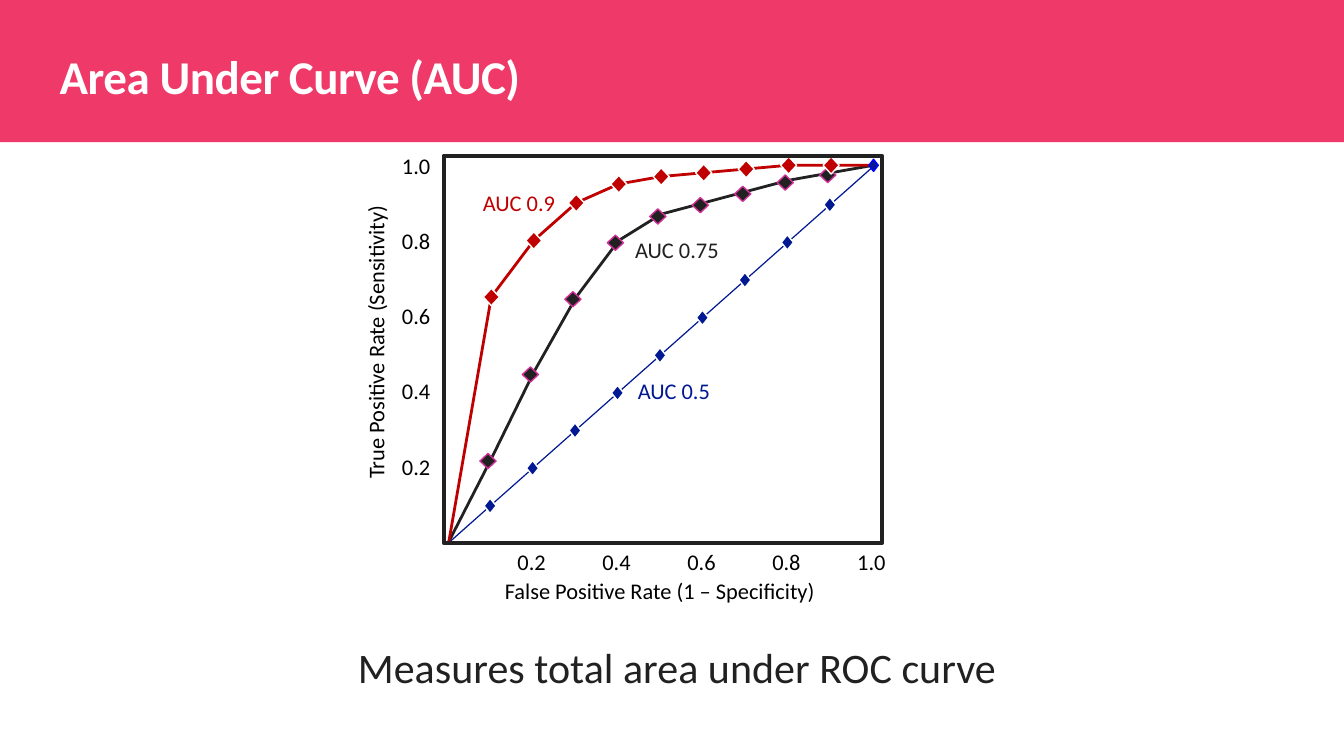
from pptx import Presentation
from pptx.dml.color import RGBColor
from pptx.enum.shapes import MSO_SHAPE
from pptx.enum.text import MSO_ANCHOR, PP_ALIGN
from pptx.util import Inches, Pt

RECT, DIAMOND = MSO_SHAPE.RECTANGLE, MSO_SHAPE.DIAMOND
LEFT, CENTER, RIGHT = PP_ALIGN.LEFT, PP_ALIGN.CENTER, PP_ALIGN.RIGHT
MIDDLE = MSO_ANCHOR.MIDDLE

PINK = RGBColor(0xEF, 0x39, 0x69)
WHITE = RGBColor(0xFF, 0xFF, 0xFF)
BLACK = RGBColor(0x00, 0x00, 0x00)
DARK = RGBColor(0x21, 0x21, 0x21)
NAVY = RGBColor(0x01, 0x18, 0x93)
BLUE = RGBColor(0x00, 0x00, 0xFF)
RED = RGBColor(0xC0, 0x00, 0x00)
PURPLE = RGBColor(0xD2, 0x31, 0x99)

# A 16:9 slide
WIDE = Inches(10)
HIGH = WIDE * 9 // 16

# Plot grid: the origin and one full unit of each rate
ORIGIN_X, ORIGIN_Y = Inches(3.34), Inches(4.03)
UNIT_X, UNIT_Y = Inches(3.16), Inches(2.8)

STEPS = [n / 10 for n in range(11)]
GOOD = [0, 0.65, 0.8, 0.9, 0.95, 0.97, 0.98, 0.99, 1, 1, 1]
FAIR = [0, 0.22, 0.45, 0.65, 0.8, 0.87, 0.9, 0.93, 0.96, 0.98, 1]


def spot(fpr, tpr):
    """Place of a pair of rates on the slide."""
    return round(ORIGIN_X + UNIT_X * fpr), round(ORIGIN_Y - UNIT_Y * tpr)


def box(mid, size):
    """Left, top, width and height around a middle point."""
    return [round(v) for v in (mid[0] - size[0] / 2, mid[1] - size[1] / 2, *size)]


def paint(shape, fill, line, width):
    shape.shadow.inherit = False
    if fill is None:
        shape.fill.background()
    else:
        shape.fill.solid()
        shape.fill.fore_color.rgb = fill
    if line is None:
        shape.line.fill.background()
    else:
        shape.line.color.rgb = line
        shape.line.width = Pt(width)


def add_block(slide, kind, area, fill=None, line=None, width=0.75):
    paint(slide.shapes.add_shape(kind, *area), fill, line, width)


def add_text(slide, text, mid, size, color=BLACK, points=12, align=CENTER,
             bold=None, turn=0, wrap=False):
    label = slide.shapes.add_textbox(*box(mid, size))
    label.rotation = turn
    frame = label.text_frame
    frame.word_wrap = wrap
    frame.vertical_anchor = MIDDLE
    frame.margin_left = frame.margin_right = 0
    frame.margin_top = frame.margin_bottom = 0
    para = frame.paragraphs[0]
    para.alignment = align
    run = para.add_run()
    run.text = text
    run.font.name = "Calibri"
    run.font.size = Pt(points)
    run.font.bold = bold
    run.font.color.rgb = color
    return run


def add_curve(slide, rates, color, fill=None):
    points = [spot(*pair) for pair in zip(STEPS, rates)]
    pen = slide.shapes.build_freeform(*points[0], scale=1.0)
    pen.add_line_segments(points[1:], close=False)
    paint(pen.convert_to_shape(), fill, color, 1.5)


def add_marks(slide, rates, size, fill, line, shift=(0, 0)):
    for fpr, tpr in list(zip(STEPS, rates))[1:-1]:
        mid = spot(fpr + shift[0], tpr + shift[1])
        add_block(slide, DIAMOND, box(mid, size), fill, line)


def add_plot(slide):
    # Curves; the white fill trims the upper half of the diagonal
    for rates, color, fill in ((STEPS, NAVY, None), (FAIR, DARK, WHITE),
                               (GOOD, RED, None)):
        add_curve(slide, rates, color, fill)

    # Markers
    add_marks(slide, STEPS, (WIDE * 0.009, HIGH * 0.02), NAVY, WHITE,
              (-0.003, -0.005))
    add_block(slide, DIAMOND, box(spot(1, 1), (WIDE * 0.007, HIGH * 0.016)),
              NAVY, BLUE)
    add_marks(slide, FAIR, (WIDE * 0.012, HIGH * 0.02), DARK, PURPLE,
              (-0.008, -0.006))
    add_marks(slide, GOOD, (WIDE * 0.012, HIGH * 0.023), RED, WHITE)

    # Curve names
    row = HIGH * 0.036
    for text, fpr, tpr, wide, color in (("AUC 0.5", 0.53, 0.4, 0.063, NAVY),
                                        ("AUC 0.75", 0.537, 0.775, 0.073, DARK),
                                        ("AUC 0.9", 0.165, 0.9, 0.063, RED)):
        add_text(slide, text, spot(fpr, tpr), (WIDE * wide, row), color)

    # Axis values and titles
    cell = (WIDE * 0.023, row)
    for rate in STEPS[2::2]:
        add_text(slide, f"{rate:.1f}", spot(-0.08, rate), cell, align=RIGHT)
        add_text(slide, f"{rate:.1f}", spot(rate - 0.005, -0.053), cell)
    add_text(slide, "False Positive Rate (1 – Specificity)", spot(0.497, -0.13),
             (WIDE * 0.256, row))
    add_text(slide, "True Positive Rate (Sensitivity)", spot(-0.173, 0.53),
             (WIDE * 0.223, row), turn=270)

    # Frame
    left, top = spot(-0.012, 1.025)
    right, base = spot(1.02, -0.004)
    add_block(slide, RECT, (left, top, right - left, base - top),
              line=DARK, width=2.25)


def main():
    deck = Presentation()
    deck.slide_width, deck.slide_height = WIDE, HIGH
    slide = deck.slides.add_slide(deck.slide_layouts[6])

    # Title band
    add_block(slide, RECT, (0, 0, WIDE, round(HIGH * 0.188)), PINK)
    title = add_text(slide, "Area Under Curve (AUC)", (WIDE * 0.253, HIGH * 0.1),
                     (WIDE * 0.417, HIGH * 0.077), WHITE, 25.2, LEFT, True, wrap=True)
    title.font._element.set("spc", "-25")

    add_plot(slide)

    # Closing statement
    add_text(slide, "Measures total area under ROC curve",
             (WIDE * 0.504, HIGH * 0.882), (WIDE * 0.714, HIGH * 0.068),
             DARK, 22.5, wrap=True)
    deck.save("out.pptx")


if __name__ == "__main__":
    main()
